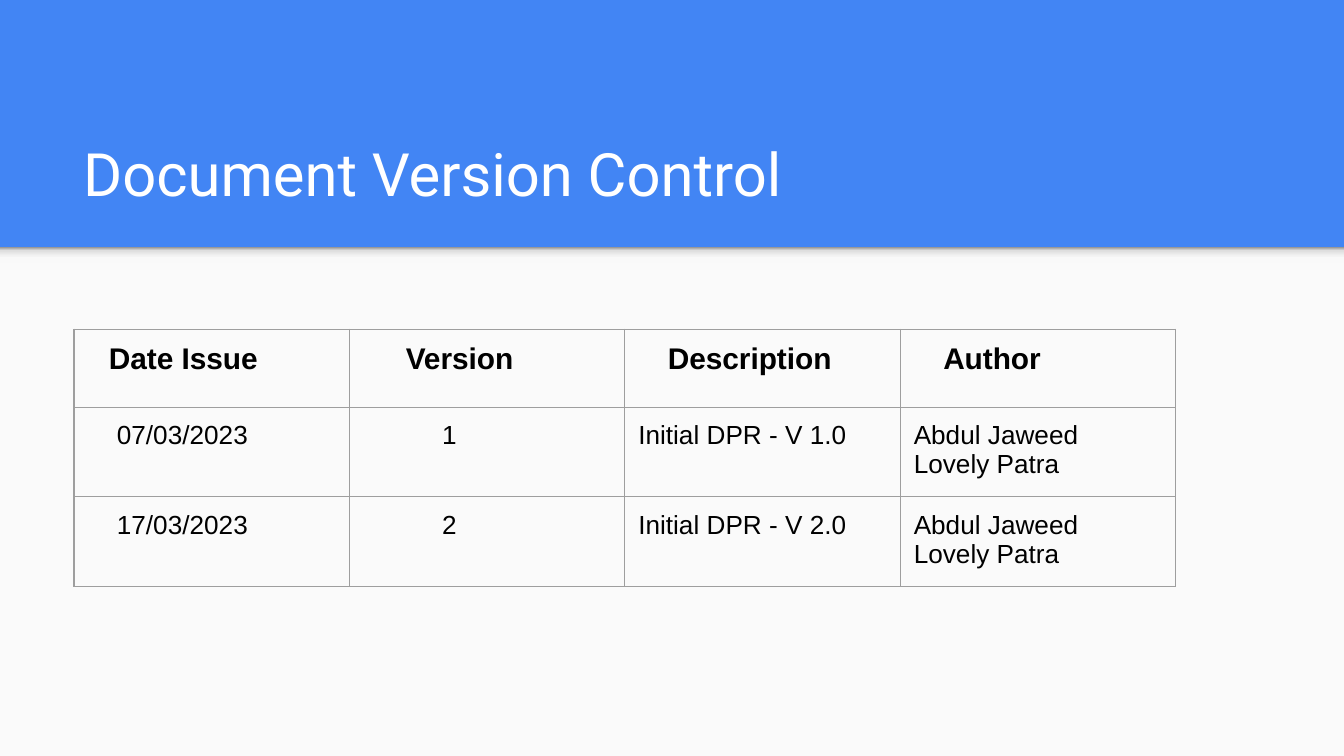
"""Build the document version control slide."""
from copy import deepcopy

from pptx import Presentation
from pptx.dml.color import RGBColor
from pptx.enum.shapes import MSO_SHAPE
from pptx.enum.text import MSO_ANCHOR
from pptx.oxml import parse_xml
from pptx.oxml.ns import nsdecls, qn
from pptx.util import Inches, Pt

TITLE = "Document Version Control"
HEAD = ["Date Issue", "Version", "Description", "Author"]
ROWS = [
    ["07/03/2023", "1", "Initial DPR - V 1.0", "Abdul Jaweed\nLovely Patra"],
    ["17/03/2023", "2", "Initial DPR - V 2.0", "Abdul Jaweed\nLovely Patra"],
]
HEAD_PADS = [0.26, 0.42, 0.32, 0.32]
BODY_PADS = [0.32, 0.69, 0.1, 0.1]
COL_W, ROW_H = 2.05, 0.58
WIDE = Inches(10)
HIGH = WIDE * 9 // 16
BAND_H = Inches(1.84)
BLUE, PALE, GREY, WHITE, BLACK = "4285F4", "FAFAFA", "9E9E9E", "FFFFFF", "000000"
SHADE = [(0, "F9F9F9"), (0.36, "F9F9F9"), (0.8, "DEDEDE"), (1, "999999")]


def rgb(code):
    """Turn a hex string into a colour."""
    return RGBColor.from_string(code)


def add_rect(slide, top, height):
    """Add a plain rectangle across the whole slide."""
    rect = slide.shapes.add_shape(MSO_SHAPE.RECTANGLE, 0, top, WIDE, height)
    rect.shadow.inherit = False
    rect.line.fill.background()
    return rect


def shade(rect):
    """Fill a rectangle with the fading edge, dark at the top."""
    fill = rect.fill
    fill.gradient()
    fill.gradient_angle = 90
    stops = next(rect._element.iter(qn("a:gsLst")))
    for _ in SHADE[2:]:
        stops.append(deepcopy(stops[0]))
    for stop, (place, code) in zip(fill.gradient_stops, SHADE):
        stop.position = place
        stop.color.rgb = rgb(code)


def set_text(frame, text, font, size, code, bold=False):
    """Write text and format its runs and paragraph ends."""
    frame.text = text
    frame.word_wrap = True
    for para in frame.paragraphs:
        for run in para.runs:
            run.font.name = font
            run.font.size = Pt(size)
            run.font.bold = bold
            run.font.color.rgb = rgb(code)
        para._p.append(parse_xml(
            f'<a:endParaRPr {nsdecls("a")} sz="{size * 100}"/>'))


def set_cell(cell, text, pad, size, bold):
    """Write, pad and outline one cell."""
    set_text(cell.text_frame, text, "Arial", size, BLACK, bold)
    cell.margin_left = Inches(pad)
    cell.margin_right = cell.margin_top = cell.margin_bottom = Inches(0.1)
    props = cell._tc.get_or_add_tcPr()
    for side in "LRTB":
        props.append(parse_xml(
            f'<a:ln{side} {nsdecls("a")} w="{Pt(0.75)}"><a:solidFill>'
            f'<a:srgbClr val="{GREY}"/></a:solidFill></a:ln{side}>'))
    cell.fill.background()


def add_grid(slide):
    """Add the version table, whose rows grow with their text."""
    lines = [HEAD] + ROWS
    grid = slide.shapes.add_table(
        len(lines), len(HEAD), Inches(0.55), Inches(2.45),
        Inches(COL_W * len(HEAD)), Inches(ROW_H * len(lines))).table
    grid.first_row = grid.horz_banding = False
    for col in grid.columns:
        col.width = Inches(COL_W)
    for r, row in enumerate(lines):
        grid.rows[r].height = Inches(ROW_H)
        pads, size = (BODY_PADS, 14) if r else (HEAD_PADS, 16)
        for c, (text, pad) in enumerate(zip(row, pads)):
            set_cell(grid.cell(r, c), text, pad, size, r == 0)


def main():
    """Draw the slide and save it."""
    deck = Presentation()
    deck.slide_width, deck.slide_height = WIDE, HIGH
    slide = deck.slides.add_slide(deck.slide_layouts[6])
    back = slide.background.fill
    back.solid()
    back.fore_color.rgb = rgb(BLUE)

    body = add_rect(slide, BAND_H, HIGH - BAND_H)
    body.fill.solid()
    body.fill.fore_color.rgb = rgb(PALE)
    shade(add_rect(slide, BAND_H, Inches(0.12)))

    box = slide.shapes.add_textbox(
        Inches(0.52), Inches(0.81), Inches(8.99), Inches(0.84))
    frame = box.text_frame
    frame.margin_left = frame.margin_right = Inches(0.1)
    frame.margin_top = frame.margin_bottom = Inches(0.1)
    frame.vertical_anchor = MSO_ANCHOR.BOTTOM
    set_text(frame, TITLE, "Roboto", 32, WHITE)

    add_grid(slide)
    deck.save("out.pptx")


if __name__ == "__main__":
    main()
